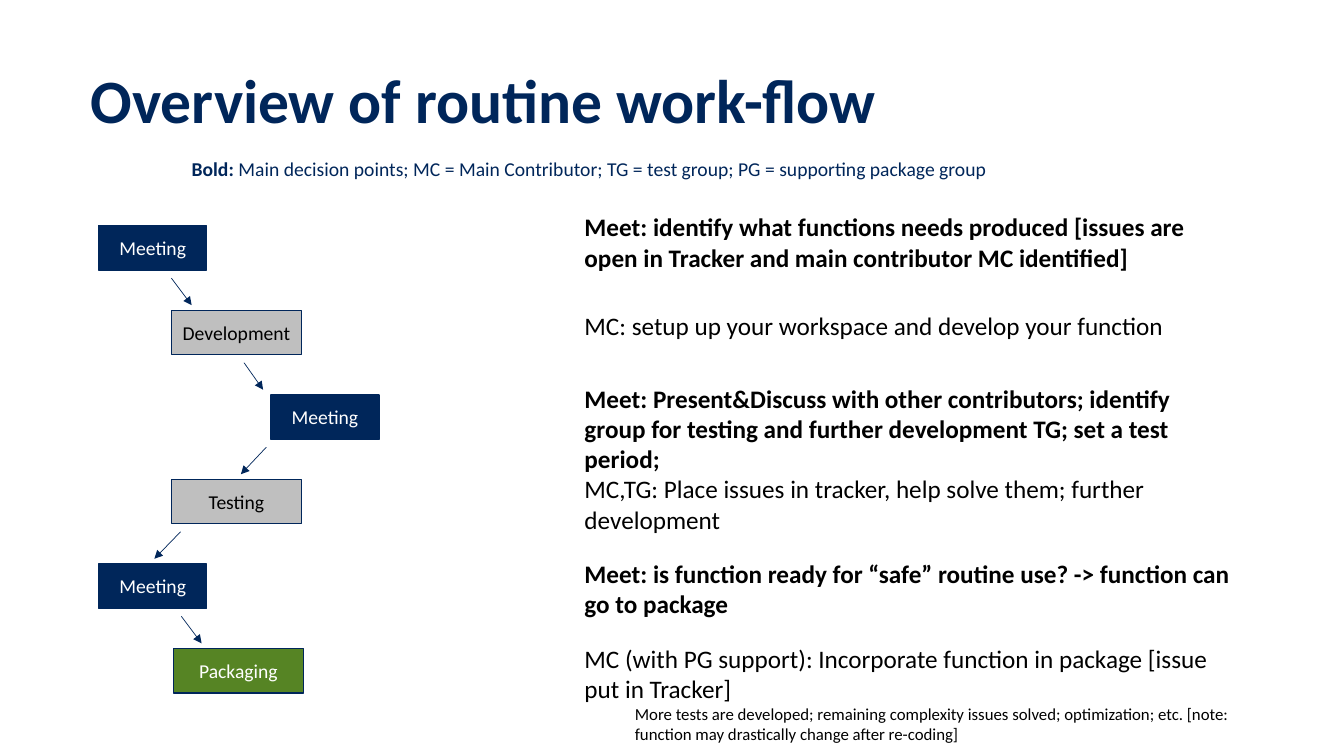
from lxml.etree import SubElement
from pptx import Presentation
from pptx.dml.color import RGBColor
from pptx.enum.shapes import MSO_CONNECTOR, MSO_SHAPE
from pptx.enum.text import MSO_ANCHOR, MSO_AUTO_SIZE, PP_ALIGN
from pptx.oxml.ns import qn
from pptx.util import Cm, Pt

NAVY = RGBColor(0x00, 0x26, 0x5A)
GREY = RGBColor(0xBF, 0xBF, 0xBF)
GREEN = RGBColor(0x56, 0x84, 0x24)
BLACK = RGBColor(0x00, 0x00, 0x00)
WHITE = RGBColor(0xFF, 0xFF, 0xFF)

FIRST_TOP, STEP, BOX_HEIGHT = 5.69, 2.13, 1.12
ARROW_OFFSET, ARROW_HEIGHT = 1.32, 0.68

STEPS = [
    ("Meeting", 2.49, 2.72, NAVY, WHITE),
    ("Development", 4.32, 3.28, GREY, BLACK),
    ("Meeting", 6.83, 2.72, NAVY, WHITE),
    ("Testing", 4.32, 3.28, GREY, BLACK),
    ("Meeting", 2.49, 2.72, NAVY, WHITE),
    ("Packaging", 4.37, 3.28, GREEN, WHITE),
]
ARROWS = [(4.32, 4.83), (6.15, 6.63), (6.71, 6.07), (4.55, 3.89), (4.57, 5.08)]
NOTES = [
    (5.21, True, "Meet: identify what functions needs produced [issues are open "
                 "in Tracker and main contributor MC identified]"),
    (7.7, False, "MC: setup up your workspace and develop your function"),
    (9.53, True, "Meet: Present&Discuss with other contributors; identify group "
                 "for testing and further development TG; set a test period;"),
    (11.81, False, "MC,TG: Place issues in tracker, help solve them; further development"),
    (13.94, True, "Meet: is function ready for “safe” routine use? -> function can "
                  "go to package"),
    (16.08, False, "MC (with PG support): Incorporate function in package [issue "
                   "put in Tracker]"),
]
DETAIL = ("More tests are developed; remaining complexity issues solved; optimization; "
          "etc. [note: function may drastically change after re-coding]")


def style(r, size, color, bold=False):
    """Set the font of a run."""
    r.font.name = "Calibri"
    r.font.size = Pt(size)
    r.font.bold = bold
    r.font.color.rgb = color


def add_text(s, left, top, width, height, text, size, color, bold=False):
    """Add a wrapping text box and return its text frame."""
    tf = s.shapes.add_textbox(Cm(left), Cm(top), Cm(width), Cm(height)).text_frame
    tf.word_wrap = True
    tf.text = text
    style(tf.paragraphs[0].runs[0], size, color, bold)
    return tf


def add_heading(s):
    """Add the title and the legend below it."""
    tf = add_text(s, 2.03, 1.4, 27.41, 2.44, "Overview of routine work-flow", 44, NAVY, True)
    tf.vertical_anchor = MSO_ANCHOR.MIDDLE
    tf.paragraphs[0].line_spacing = 0.9
    tf = add_text(s, 4.83, 3.96, 20.35, 0.74, "Bold: ", 14, NAVY, True)
    tf.margin_left = tf.margin_top = tf.margin_right = tf.margin_bottom = 0
    r = tf.paragraphs[0].add_run()
    r.text = ("Main decision points; MC = Main Contributor; TG = test group; "
              "PG = supporting package group")
    style(r, 14, NAVY)


def add_box(s, left, top, width, text, fill, color):
    """Add one step of the work-flow."""
    sp = s.shapes.add_shape(MSO_SHAPE.RECTANGLE, Cm(left), Cm(top), Cm(width), Cm(BOX_HEIGHT))
    sp.shadow.inherit = False
    sp.fill.solid()
    sp.fill.fore_color.rgb = fill
    sp.line.color.rgb = NAVY
    sp.line.width = Pt(1)
    tf = sp.text_frame
    tf.text = text
    tf.vertical_anchor = MSO_ANCHOR.MIDDLE
    p = tf.paragraphs[0]
    p.alignment = PP_ALIGN.CENTER
    style(p.runs[0], 14, color)


def add_arrow(s, x1, x2, top):
    """Add an arrow leading down to the next step."""
    c = s.shapes.add_connector(MSO_CONNECTOR.STRAIGHT, Cm(x1), Cm(top),
                               Cm(x2), Cm(top + ARROW_HEIGHT))
    c.line.color.rgb = NAVY
    c.line.width = Pt(0.5)
    SubElement(c.line._get_or_add_ln(), qn("a:tailEnd"), type="triangle")
    SubElement(c._element.spPr, qn("a:effectLst"))


def add_note(s, top, bold, text):
    """Add the description of a step and return its text frame."""
    tf = add_text(s, 14.48, top, 16.94, 1.8, text, 18, BLACK, bold)
    tf.auto_size = MSO_AUTO_SIZE.SHAPE_TO_FIT_TEXT
    return tf


def add_detail(tf, text):
    """Add an indented small paragraph to a description."""
    p = tf.add_paragraph()
    p.text = text
    p.level = 1
    p._p.get_or_add_pPr().set("marL", str(Cm(1.27)))
    style(p.runs[0], 12, BLACK)


def main():
    """Build the slide and save it."""
    prs = Presentation()
    prs.slide_width, prs.slide_height = Cm(33.87), Cm(19.05)
    s = prs.slides.add_slide(prs.slide_layouts[6])
    add_heading(s)
    for i, (text, left, width, fill, color) in enumerate(STEPS):
        add_box(s, left, FIRST_TOP + i * STEP, width, text, fill, color)
    for i, (x1, x2) in enumerate(ARROWS):
        add_arrow(s, x1, x2, FIRST_TOP + ARROW_OFFSET + i * STEP)
    frames = [add_note(s, *note) for note in NOTES]
    add_detail(frames[-1], DETAIL)
    prs.save("out.pptx")


if __name__ == "__main__":
    main()
